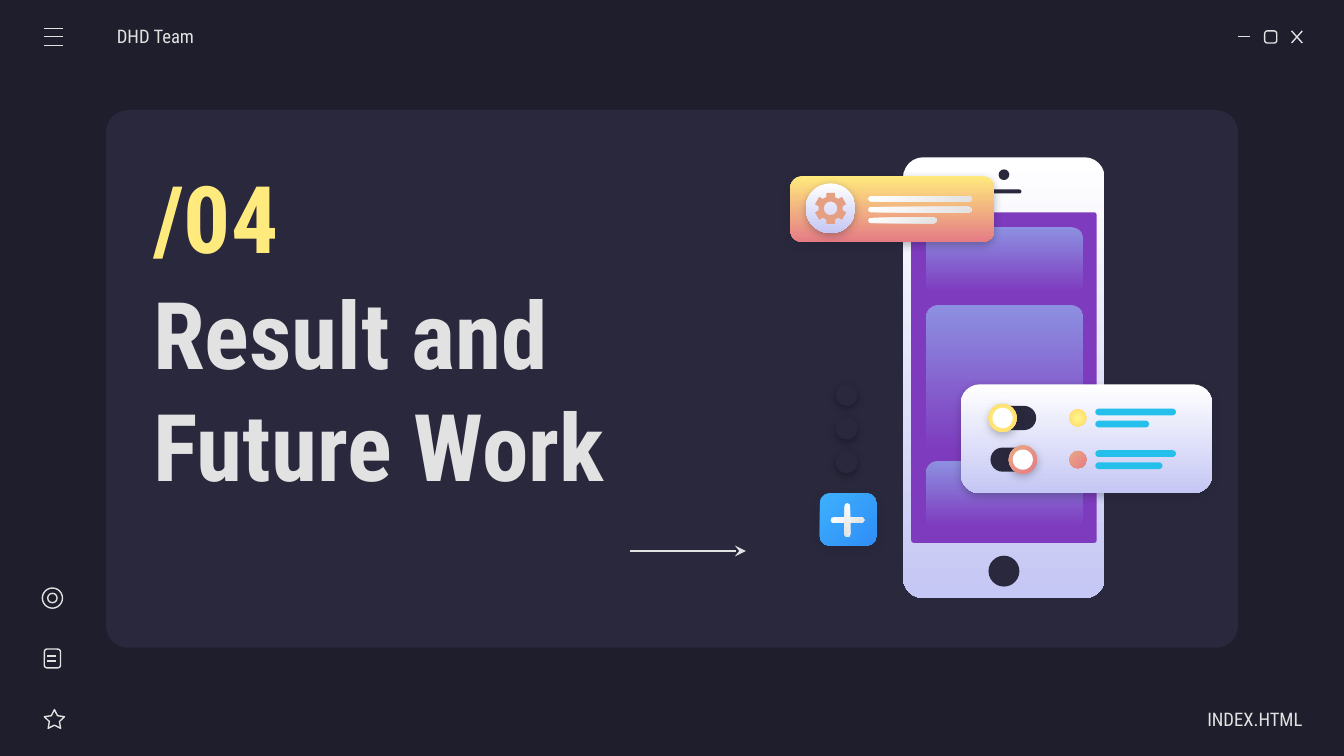
from dataclasses import dataclass
from math import cos, radians, sin

from lxml import etree
from pptx import Presentation
from pptx import util as u
from pptx.dml.color import RGBColor
from pptx.enum import shapes, text
from pptx.oxml.ns import qn

KIND = shapes.MSO_SHAPE
ALIGN = text.PP_ALIGN
WIDE = u.Inches(10)


@dataclass(frozen=True)
class Theme:
    font: str = "Roboto Condensed"
    small: int = 10
    big: int = 50
    thin: float = 0.75
    back: str = "1E1E2C"
    panel: str = "29283D"
    light: str = "E2E2E2"
    lemon: str = "FFEA7D"
    white: str = "FFFFFF"
    violet: str = "7E3BBE"
    orange: str = "E5A083"
    cyan: str = "24BFEB"
    black: str = "000000"
    # Gradients: first colour, last colour, angle (None is radial)
    body: tuple = ("FFFFFF", "C5C7F4", 90)
    card: tuple = ("8D90E1", "7E3BBE", 90)
    sunset: tuple = ("FFEA7D", "E57C85", 90)
    silver: tuple = ("FFFFFF", "E2E2E2", 45)
    sun: tuple = ("FFF68E", "FFD966", None)
    coral: tuple = ("E9A984", "E57C85", 45)
    sky: tuple = ("3DB0FD", "308EF7", 45)


def inch(*vals):
    return [u.Inches(v) for v in vals]


def rgb(code):
    return RGBColor.from_string(code)


def put(obj, vals):
    for key, val in vals.items():
        setattr(obj, key, val)


def sub(node, tag, **vals):
    return etree.SubElement(node, qn(tag), vals)


class Pen:
    """Holds the style and the current slide."""

    def __init__(self, slide, style):
        self.slide, self.style = slide, style
        self.draw = slide.shapes

    def paint(self, shape, fill=None, line=None, shade=None):
        shape.shadow.inherit = False
        if fill is None:
            shape.fill.background()
        elif isinstance(fill, str):
            shape.fill.solid()
            shape.fill.fore_color.rgb = rgb(fill)
        else:
            self.blend(shape, *fill)
        if line:
            shape.line.width = u.Pt(self.style.thin)
            shape.line.color.rgb = rgb(line)
        else:
            shape.line.fill.background()
        if shade:
            fx = shape._element.spPr.find(qn("a:effectLst"))
            drop = sub(fx, "a:outerShdw", blurRad="57150", dist="19050",
                       dir="5400000", algn="bl", rotWithShape="0")
            sub(sub(drop, "a:srgbClr", val=shade), "a:alpha", val="30000")
        return shape

    def blend(self, shape, first, last, angle):
        shape.fill.gradient()
        for stop, code in zip(shape.fill.gradient_stops, (first, last)):
            stop.color.rgb = rgb(code)
        if angle is not None:
            shape.fill.gradient_angle = 360 - angle
            return
        grad = shape._element.spPr.find(qn("a:gradFill"))
        grad.remove(grad.find(qn("a:lin")))
        ring = sub(grad, "a:path", path="circle")
        sub(ring, "a:fillToRect", l="50000", t="50000", r="50000", b="50000")

    def shape(self, kind, at, **look):
        return self.paint(self.draw.add_shape(kind, *inch(*at)), **look)

    def box(self, at, radius=None, **look):
        """Rounded box; without a radius its ends are half circles."""
        form = self.shape(KIND.ROUNDED_RECTANGLE, at, **look)
        form.adjustments[0] = 0.5 if radius is None else radius / min(at[2:])
        return form

    def disc(self, x, y, size, **look):
        """Circle around a centre."""
        return self.shape(KIND.OVAL, (x - size / 2, y - size / 2, size, size), **look)

    def line(self, *ends, head=False):
        rule = self.draw.add_connector(shapes.MSO_CONNECTOR.STRAIGHT, *inch(*ends))
        rule.line.width = u.Pt(self.style.thin)
        rule.line.color.rgb = rgb(self.style.light)
        if head:
            sub(rule.line._get_or_add_ln(), "a:tailEnd", type="stealth")
        sub(rule._element.spPr, "a:effectLst")

    def gear(self, x, y, fill):
        def spot(size, turn):
            return inch(x + size * cos(radians(turn)), y + size * sin(radians(turn)))

        edge = [spot(size, tooth + turn) for tooth in range(30, 390, 60)
                for size, turn in ((0.09, -21), (0.12, -15), (0.12, 15), (0.09, 21))]
        hole = [spot(0.05, turn) for turn in range(0, 360, 15)]
        path = self.draw.build_freeform(*edge[0], scale=1.0)
        path.add_line_segments(edge[1:], close=True)
        path.move_to(*hole[0])
        path.add_line_segments(hole[1:], close=True)
        self.paint(path.convert_to_shape(), fill=fill)

    def text(self, at, words, size, color, bold=True, align=ALIGN.LEFT,
             pad=(0.1, 0.1), hold=None):
        hold = hold or self.draw.add_textbox(*inch(*at))
        put(hold, dict(zip(("left", "top", "width", "height"), inch(*at))))
        left, right = inch(*pad)
        frame = hold.text_frame
        put(frame, {"text": words, "word_wrap": True,
                    "auto_size": text.MSO_AUTO_SIZE.NONE,
                    "vertical_anchor": text.MSO_ANCHOR.MIDDLE,
                    "margin_left": left, "margin_right": right,
                    "margin_top": u.Inches(0.1), "margin_bottom": u.Inches(0.1)})
        para = frame.paragraphs[0]
        para.alignment = align
        put(para.font, {"name": self.style.font, "size": u.Pt(size), "bold": bold})
        para.font.color.rgb = rgb(color)

    def title(self, at, words, size, color):
        hold = self.draw.title
        self.draw._spTree.append(hold._element)  # in front of the panel
        self.text(at, words, size, color, hold=hold)


def frame(pen, t):
    # Panel and window buttons
    pen.box((0.79, 0.82, 8.42, 4), 0.16, fill=t.panel)
    pen.line(9.21, 0.27, 9.3, 0.27)
    pen.box((9.41, 0.23, 0.09, 0.09), 0.02, line=t.light)
    pen.line(9.61, 0.23, 9.69, 0.32)
    pen.line(9.69, 0.23, 9.61, 0.32)
    # Menu
    for y in (0.21, 0.27, 0.34):
        pen.line(0.33, y, 0.47, y)
    # Side icons: target, page, star
    for size in (0.15, 0.07):
        pen.disc(0.39, 4.45, size, line=t.light)
    pen.box((0.33, 4.83, 0.12, 0.14), 0.02, line=t.light)
    for y in (4.88, 4.92):
        pen.line(0.35, y, 0.42, y)
    star = pen.shape(KIND.STAR_5_POINT, (0.33, 5.28, 0.15, 0.14), line=t.light)
    star.adjustments[0] = 0.25


def words(pen, t):
    pen.text((0.87, 0.12, 1.17, 0.3), "DHD Team", t.small, t.light, False, pad=(0, 0.1))
    pen.text((8.52, 5.2, 1.17, 0.3), "INDEX.HTML", t.small, t.light, False,
             ALIGN.RIGHT, pad=(0.1, 0))
    pen.title((1.04, 2.07, 4.3, 1.64), "Result and Future Work", t.big, t.light)
    pen.text((1.04, 1.15, 1.78, 0.92), "/04", t.big, t.lemon)
    pen.line(4.69, 4.1, 5.55, 4.1, head=True)


def phone(pen, t):
    pen.box((6.72, 1.17, 1.5, 3.28), 0.15, fill=t.body)
    pen.disc(7.47, 1.3, 0.08, fill=t.panel)
    pen.box((7.35, 1.41, 0.25, 0.03), fill=t.panel)
    pen.disc(7.47, 4.25, 0.23, fill=t.panel)
    pen.box((6.78, 1.58, 1.38, 2.46), 0.02, fill=t.violet)
    for y, high in ((1.69, 0.49), (2.27, 1.09), (3.43, 0.49)):
        pen.box((6.89, y, 1.17, high), 0.09, fill=t.card)


def cards(pen, t):
    # Settings card
    pen.box((5.88, 1.31, 1.52, 0.49), 0.09, fill=t.sunset, shade=t.back)
    pen.disc(6.18, 1.55, 0.37, fill=t.body, shade=t.back)
    pen.gear(6.18, 1.55, t.orange)
    for row, wide in enumerate((0.77, 0.77, 0.51)):
        pen.box((6.46, 1.46 + 0.08 * row, wide, 0.04), fill=t.silver)
    # Switch card
    pen.box((7.15, 2.86, 1.87, 0.81), 0.14, fill=t.body, shade=t.back)
    for y, knob, tint, wide in ((3.11, 7.46, t.sun, 0.4), (3.42, 7.61, t.coral, 0.5)):
        pen.box((7.37, y - 0.09, 0.34, 0.18), fill=t.panel)
        pen.disc(knob, y, 0.21, fill=tint, shade=t.back)
        pen.disc(knob, y, 0.15, fill=t.white)
        pen.disc(8.02, y, 0.13, fill=tint)
        pen.box((8.15, y - 0.07, 0.6, 0.05), fill=t.cyan)
        pen.box((8.15, y + 0.02, wide, 0.05), fill=t.cyan)
    # Plus button and dots
    pen.box((6.1, 3.67, 0.42, 0.39), 0.07, fill=t.sky, shade=t.back)
    for turn in (0, 90):
        pen.box((6.18, 3.85, 0.25, 0.04), fill=t.silver).rotation = turn
    for row in range(3):
        pen.disc(6.3, 3.44 - 0.25 * row, 0.16, fill=t.panel, shade=t.black)


def main():
    deck = Presentation()
    put(deck, {"slide_width": WIDE, "slide_height": WIDE * 9 // 16})
    slide, style = deck.slides.add_slide(deck.slide_layouts[5]), Theme()
    slide.background.fill.solid()
    slide.background.fill.fore_color.rgb = rgb(style.back)
    pen = Pen(slide, style)
    for part in (frame, words, phone, cards):
        part(pen, style)
    deck.save("out.pptx")


if __name__ == "__main__":
    main()
